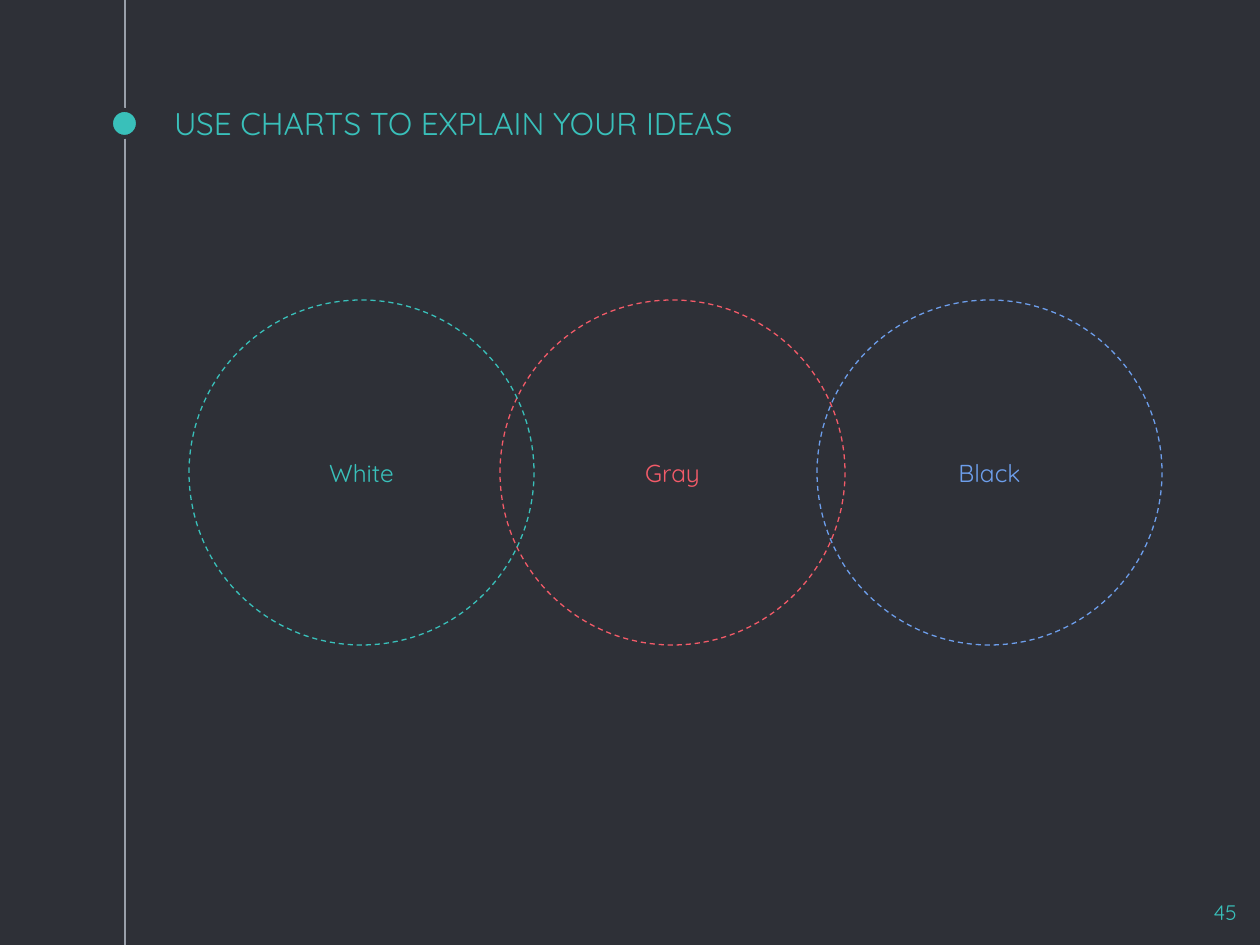
from dataclasses import dataclass

from lxml.etree import SubElement
from pptx import Presentation
from pptx.dml.color import RGBColor as RGB
from pptx.enum.dml import MSO_LINE_DASH_STYLE as Dash
from pptx.enum.shapes import MSO_CONNECTOR as Connector, MSO_SHAPE as Shape
from pptx.enum.text import MSO_ANCHOR as Anchor, MSO_AUTO_SIZE as AutoSize, PP_ALIGN as Align
from pptx.oxml.ns import qn
from pptx.util import Emu, Pt


@dataclass(frozen=True)
class Theme:
    font: str = "Quicksand"
    background: RGB = RGB.from_string("2E3037")
    timeline: RGB = RGB.from_string("999FA9")
    teal: RGB = RGB.from_string("39C0BA")
    red: RGB = RGB.from_string("F35B69")
    blue: RGB = RGB.from_string("6D9EEB")
    title_size: Pt = Pt(18)
    label_size: Pt = Pt(14)
    number_size: Pt = Pt(12)
    thin_line: Pt = Pt(0.75)
    dot_border: Pt = Pt(2.25)


THEME = Theme()
PX_PER_INCH = 126
INSET = 13


def px(*lengths):
    """Turn pixel lengths into a list of EMU lengths."""
    return [Emu(round(length * 914400 / PX_PER_INCH)) for length in lengths]


def write_text(shape, text, size, color, align, anchor):
    frame = shape.text_frame
    frame.text = text
    frame.word_wrap = True
    frame.auto_size = AutoSize.NONE
    frame.vertical_anchor = anchor
    frame.margin_left, frame.margin_top, frame.margin_right, frame.margin_bottom = px(*[INSET] * 4)
    paragraph = frame.paragraphs[0]
    paragraph.alignment = align
    paragraph.font.name = THEME.font
    paragraph.font.size = size
    paragraph.font.color.rgb = color


presentation = Presentation()
presentation.slide_width, presentation.slide_height = px(1260, 945)
slide = presentation.slides.add_slide(presentation.slide_layouts[5])
slide.background.fill.solid()
slide.background.fill.fore_color.rgb = THEME.background

# Timeline with its marker
timeline = slide.shapes.add_connector(Connector.STRAIGHT, *px(125, 0, 125, 945))
timeline.line.color.rgb = THEME.timeline
timeline.line.width = THEME.thin_line
SubElement(timeline._element.spPr, qn("a:effectLst"))

dot = slide.shapes.add_shape(Shape.OVAL, *px(111, 110, 27, 27))
dot.shadow.inherit = False
dot.fill.solid()
dot.fill.fore_color.rgb = THEME.teal
dot.line.color.rgb = THEME.background
dot.line.width = THEME.dot_border

# Title
title = slide.shapes.title
title.left, title.top, title.width, title.height = px(161, 92, 945, 63)
write_text(title, "USE CHARTS TO EXPLAIN YOUR IDEAS", THEME.title_size, THEME.teal,
           Align.LEFT, Anchor.BOTTOM)

# Overlapping circles, back to front
for label, left, color in [
    ("Gray", 500, THEME.red),
    ("White", 189, THEME.teal),
    ("Black", 817, THEME.blue),
]:
    circle = slide.shapes.add_shape(Shape.OVAL, *px(left, 300, 345, 345))
    circle.shadow.inherit = False
    circle.fill.background()
    circle.line.color.rgb = color
    circle.line.width = THEME.thin_line
    circle.line.dash_style = Dash.DASH
    write_text(circle, label, THEME.label_size, color, Align.CENTER, Anchor.MIDDLE)

# Slide number
number = slide.shapes.add_textbox(*px(1174, 887, 76, 58))
write_text(number, "45", THEME.number_size, THEME.teal, Align.RIGHT, Anchor.TOP)

presentation.save("out.pptx")
